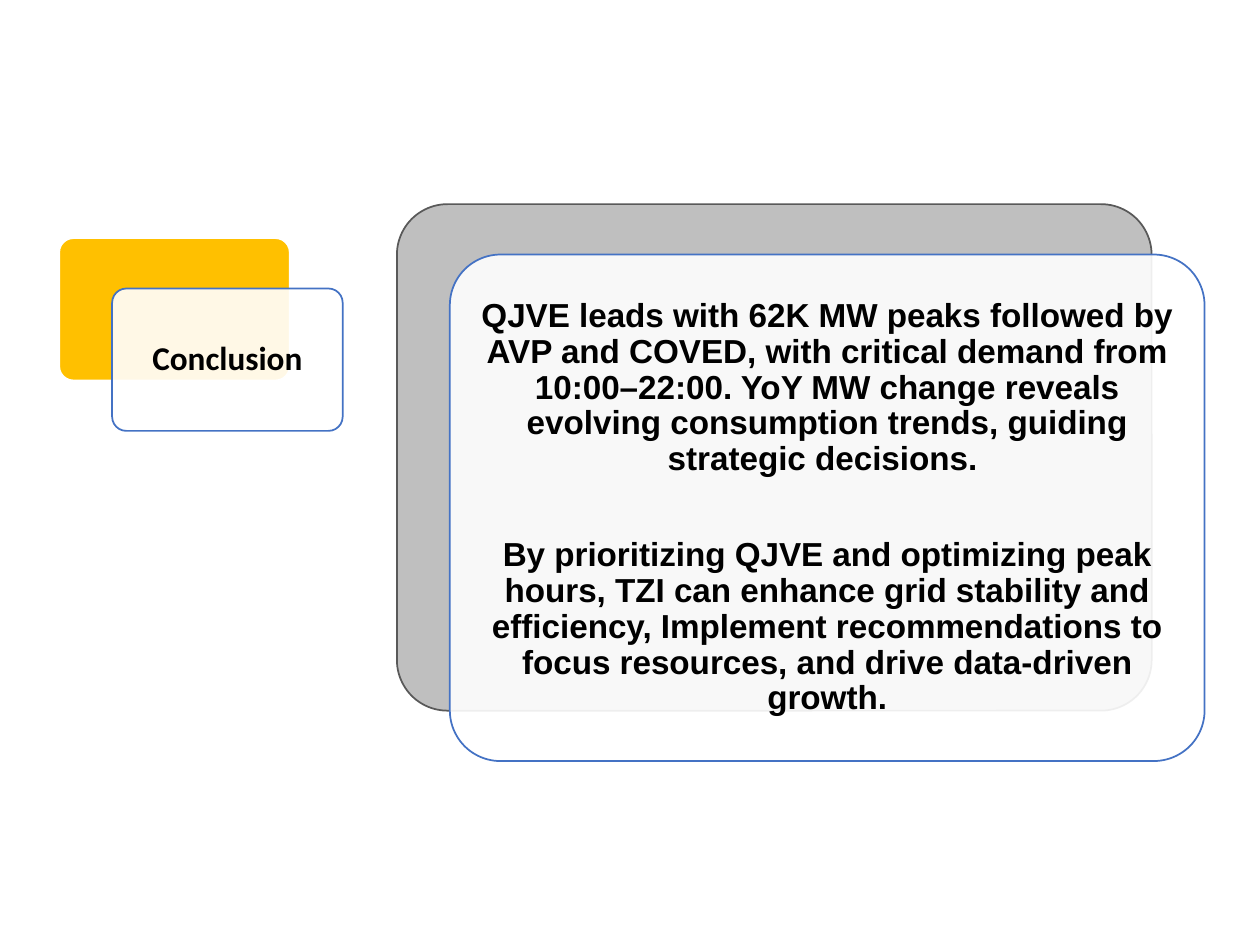
"""Build a conclusion slide with two layered cards."""
from dataclasses import dataclass

import pptx
import pptx.dml.color
import pptx.enum.shapes
import pptx.enum.text
import pptx.oxml
import pptx.oxml.ns
import pptx.util
from pptx.util import Inches

OFFSET_X, OFFSET_Y = 0.42, 0.4
PARAGRAPH_GAP = 34


@dataclass(frozen=True)
class Card:
    left: float
    top: float
    width: float
    height: float
    back_fill: str
    back_line: str
    font: str
    paragraphs: tuple[str, ...]


CARDS = (
    Card(0.47, 1.89, 1.83, 1.13, "FFC000", "FFFFFF", "Calibri", ("Conclusion",)),
    Card(3.15, 1.62, 5.99, 4.02, "BFBFBF", "595959", "Arial", (
        "QJVE leads with 62K MW peaks followed by AVP and COVED, with critical "
        "demand from 10:00–22:00. YoY MW change reveals evolving consumption "
        "trends, guiding strategic decisions. ",
        "By prioritizing QJVE and optimizing peak hours, TZI can enhance grid "
        "stability and efficiency, Implement recommendations to focus "
        "resources, and drive data-driven growth.",
    )),
)


def color(value: str) -> pptx.dml.color.RGBColor:
    return pptx.dml.color.RGBColor.from_string(value)


def add_panel(page, card: Card, shift: int, fill: str, line: str):
    panel = page.shapes.add_shape(
        pptx.enum.shapes.MSO_SHAPE.ROUNDED_RECTANGLE,
        Inches(card.left + shift * OFFSET_X), Inches(card.top + shift * OFFSET_Y),
        Inches(card.width), Inches(card.height))
    panel.adjustments[0] = 0.1
    panel.shadow.inherit = False
    panel.fill.solid()
    panel.fill.fore_color.rgb = color(fill)
    panel.line.color.rgb = color(line)
    panel.line.width = pptx.util.Pt(1)
    return panel


def set_opacity(panel, percent: int) -> None:
    swatch = panel.fill._xPr.find(".//" + pptx.oxml.ns.qn("a:srgbClr"))
    alpha = pptx.oxml.parse_xml(
        f'<a:alpha {pptx.oxml.ns.nsdecls("a")} val="{percent * 1000}"/>')
    swatch.append(alpha)


def write_text(panel, card: Card) -> None:
    frame = panel.text_frame
    frame.word_wrap = True
    frame.vertical_anchor = pptx.enum.text.MSO_ANCHOR.MIDDLE
    frame.margin_left = frame.margin_right = Inches(0.08)
    frame.margin_top = frame.margin_bottom = Inches(0.08)
    for index, text in enumerate(card.paragraphs):
        para = frame.add_paragraph() if index else frame.paragraphs[0]
        para.alignment = pptx.enum.text.PP_ALIGN.CENTER
        para.line_spacing = 0.9
        para.space_before = pptx.util.Pt(PARAGRAPH_GAP if index else 0)
        span = para.add_run()
        span.text = text
        span.font.name = card.font
        span.font.size = pptx.util.Pt(19)
        span.font.bold = True
        span.font.color.rgb = color("000000")


def draw_card(page, card: Card) -> None:
    add_panel(page, card, 0, card.back_fill, card.back_line)
    front = add_panel(page, card, 1, "FFFFFF", "4472C4")
    set_opacity(front, 90)
    write_text(front, card)


def main() -> None:
    deck = pptx.Presentation()
    deck.slide_width, deck.slide_height = Inches(10), Inches(7.5)
    page = deck.slides.add_slide(deck.slide_layouts[6])
    for card in CARDS:
        draw_card(page, card)
    deck.save("out.pptx")


if __name__ == "__main__":
    main()
